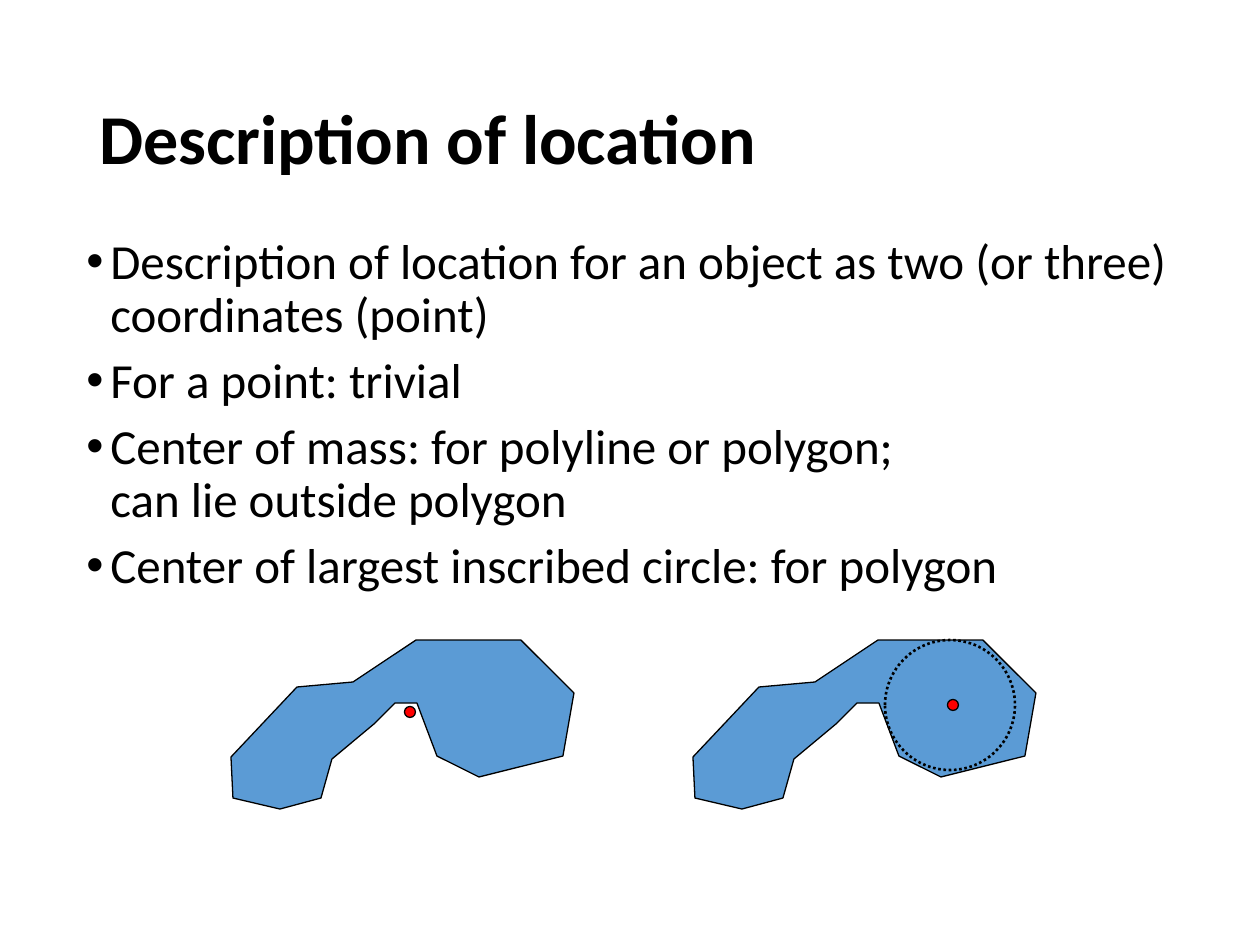
from dataclasses import dataclass

from lxml import etree
from pptx import Presentation
from pptx import util as u
from pptx.dml.color import RGBColor
from pptx.enum import dml, shapes, text
from pptx.oxml.ns import qn

EMU_PER_PX = 914400 / 126
COLORS = {"text": "000000", "line": "000000", "polygon": "5B9BD5", "center": "FF0000"}
BULLET_INDENT = 24


@dataclass(frozen=True)
class Box:
    left: int
    top: int
    width: int
    height: int


@dataclass(frozen=True)
class Circle:
    x: int
    y: int
    diameter: int
    fill: str | None = None
    line_width: float = 0.75
    dash: dml.MSO_LINE | None = None


TITLE_BOX = Box(87, 50, 1086, 183)
BODY_BOX = Box(74, 231, 1122, 399)
BULLETS = [
    "Description of location for an object as two (or three) coordinates (point)",
    "For a point: trivial",
    "Center of mass: for polyline or polygon;\ncan lie outside polygon",
    "Center of largest inscribed circle: for polygon",
]

# Polygon outline, relative to its bounding box
OUTLINE = [
    (0, 117), (66, 47), (122, 42), (185, 0), (290, 0), (343, 53),
    (332, 116), (248, 137), (206, 116), (186, 63), (164, 63), (143, 84),
    (101, 119), (90, 158), (49, 169), (2, 158),
]
POLYGON_TOP = 640
POLYGON_LEFTS = (231, 693)
CIRCLES = [
    Circle(410, 712, 11, fill="center"),
    Circle(953, 705, 11, fill="center"),
    Circle(950, 705, 130, line_width=1.5, dash=dml.MSO_LINE.ROUND_DOT),
]


def px(value: float) -> u.Emu:
    return u.Emu(round(value * EMU_PER_PX))


def color(name: str) -> RGBColor:
    return RGBColor.from_string(COLORS[name])


def add_bullet(paragraph) -> None:
    properties = paragraph._p.get_or_add_pPr()
    properties.set("marL", str(px(BULLET_INDENT)))
    properties.set("indent", str(-px(BULLET_INDENT)))
    etree.SubElement(properties, qn("a:buFont")).set("typeface", "Arial")
    etree.SubElement(properties, qn("a:buChar")).set("char", "•")


def add_text(slide, box: Box, lines: list[str], *, size: int, bold: bool = False,
             bulleted: bool = False, space_before: float = 0,
             anchor=text.MSO_ANCHOR.TOP) -> None:
    shape = slide.shapes.add_textbox(px(box.left), px(box.top), px(box.width), px(box.height))
    frame = shape.text_frame
    frame.word_wrap = True
    frame.vertical_anchor = anchor
    for index, line in enumerate(lines):
        paragraph = frame.add_paragraph() if index else frame.paragraphs[0]
        paragraph.text = line
        if bulleted:
            add_bullet(paragraph)
        paragraph.line_spacing = 0.9
        paragraph.space_before = u.Pt(space_before if index else 0)
        for run in paragraph.runs:
            run.font.name = "Calibri"
            run.font.size = u.Pt(size)
            run.font.bold = bold
            run.font.color.rgb = color("text")


def style_shape(shape, fill: str | None, line_width: float) -> None:
    shape.shadow.inherit = False
    if fill:
        shape.fill.solid()
        shape.fill.fore_color.rgb = color(fill)
    else:
        shape.fill.background()
    shape.line.color.rgb = color("line")
    shape.line.width = u.Pt(line_width)


def add_polygon(slide, left: int, top: int) -> None:
    points = [(left + x, top + y) for x, y in OUTLINE]
    builder = slide.shapes.build_freeform(*points[0], scale=EMU_PER_PX)
    builder.add_line_segments(points[1:], close=True)
    style_shape(builder.convert_to_shape(), "polygon", 0.75)


def add_circle(slide, circle: Circle) -> None:
    radius = circle.diameter / 2
    shape = slide.shapes.add_shape(
        shapes.MSO_SHAPE.OVAL, px(circle.x - radius), px(circle.y - radius),
        px(circle.diameter), px(circle.diameter))
    style_shape(shape, circle.fill, circle.line_width)
    if circle.dash:
        shape.line.dash_style = circle.dash


def main() -> None:
    presentation = Presentation()
    presentation.slide_width, presentation.slide_height = px(1260), px(945)
    slide = presentation.slides.add_slide(presentation.slide_layouts[6])

    # Title and bullets
    add_text(slide, TITLE_BOX, ["Description of location"], size=40, bold=True,
             anchor=text.MSO_ANCHOR.MIDDLE)
    add_text(slide, BODY_BOX, BULLETS, size=28, bulleted=True, space_before=7.5)

    # Center of mass (left) and largest inscribed circle (right)
    for left in POLYGON_LEFTS:
        add_polygon(slide, left, POLYGON_TOP)
    for circle in CIRCLES:
        add_circle(slide, circle)

    presentation.save("out.pptx")


if __name__ == "__main__":
    main()
